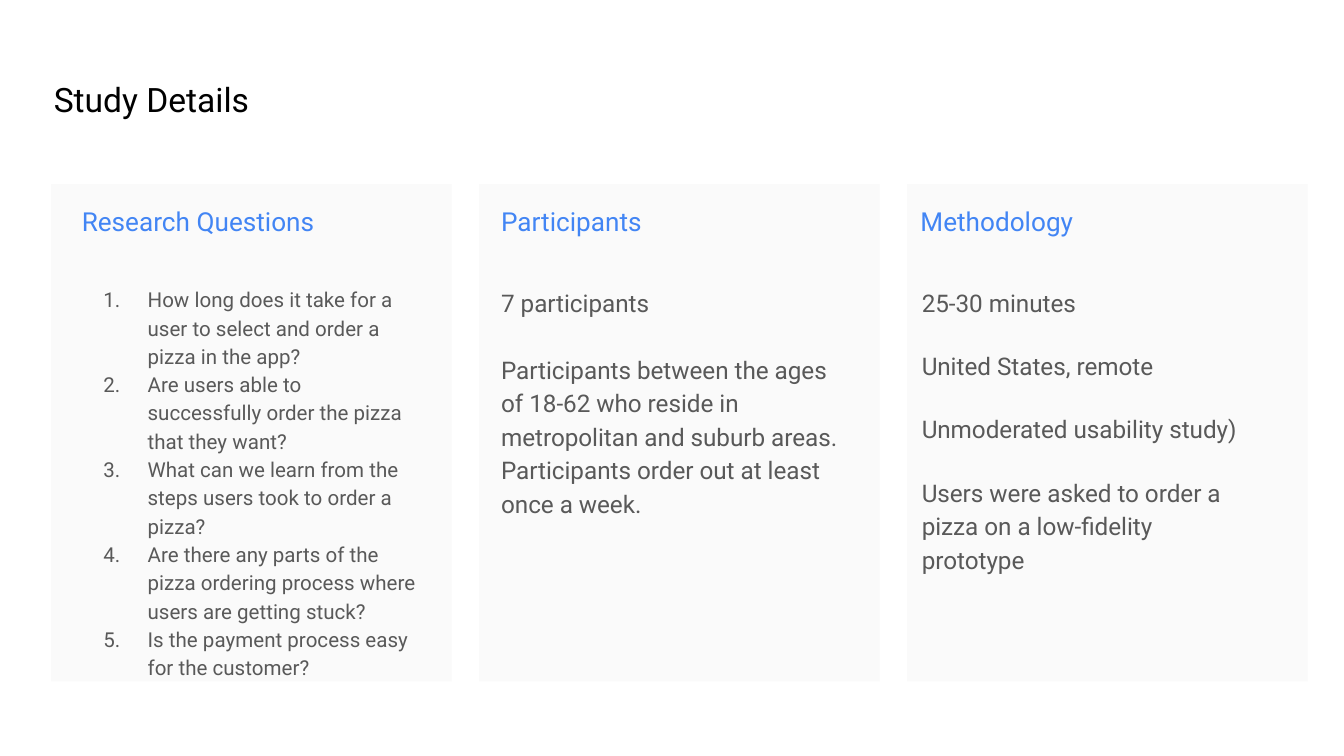
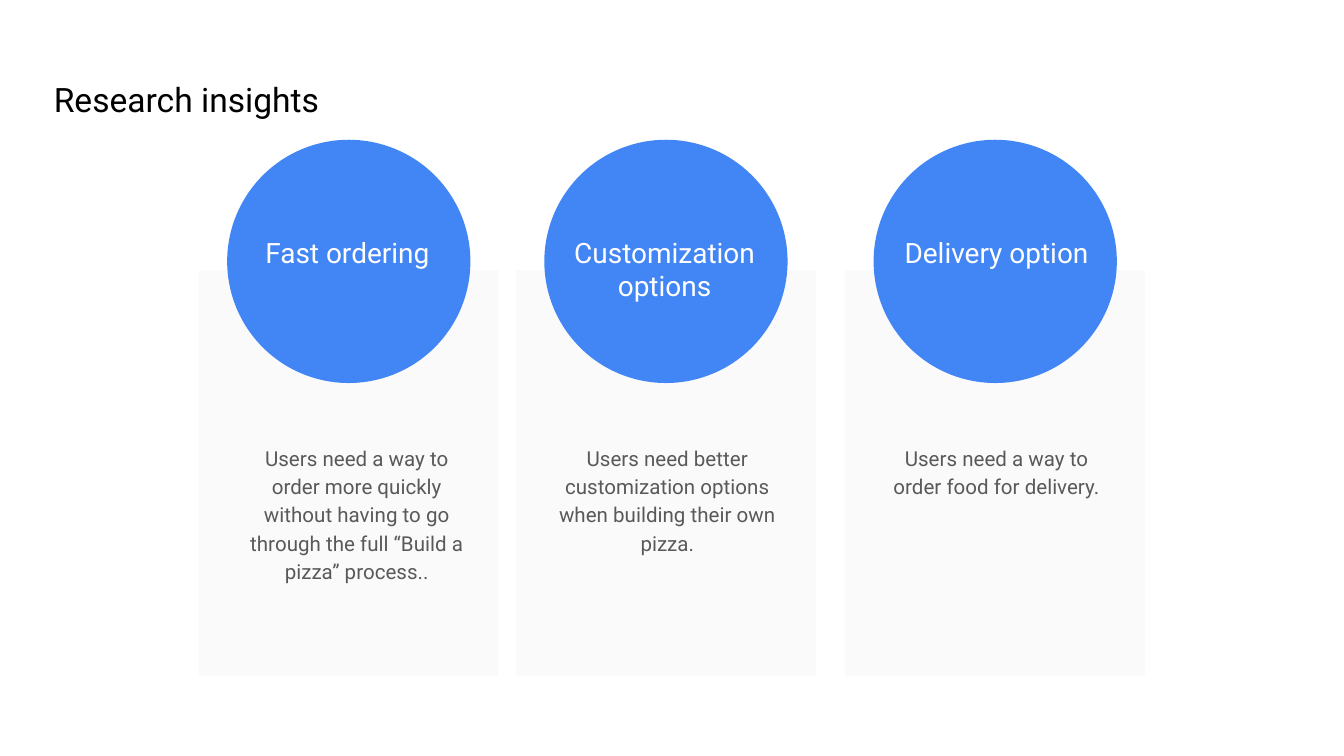
from lxml import etree
from pptx import Presentation
from pptx.dml.color import RGBColor
from pptx.enum.shapes import MSO_SHAPE
from pptx.enum.text import MSO_ANCHOR, MSO_AUTO_SIZE, PP_ALIGN
from pptx.oxml.ns import qn
from pptx.util import Inches, Pt

RECT, OVAL = MSO_SHAPE.RECTANGLE, MSO_SHAPE.OVAL
LEFT, CENTER = PP_ALIGN.LEFT, PP_ALIGN.CENTER
TOP, NO_FIT = MSO_ANCHOR.TOP, MSO_AUTO_SIZE.NONE

BLACK = RGBColor(0x00, 0x00, 0x00)
WHITE = RGBColor(0xFF, 0xFF, 0xFF)
GRAY = RGBColor(0x59, 0x59, 0x59)
PALE = RGBColor(0xFA, 0xFA, 0xFA)
BLUE = RGBColor(0x42, 0x85, 0xF4)

FONT = "Roboto"
INSET = 0.1
LOOSE = 1.15  # line spacing of titles and body text

# Study details: cards, headings and bodies each sit on an even grid
CARD_LEFT, CARD_PITCH = 0.38, (6.75 - 0.38) / 2
HEAD_LEFT, HEAD_PITCH = 0.51, 3.12
BODY_LEFT, BODY_PITCH = 0.5, 3.13

STUDY = [
    ("Research Questions", [
        "How long does it take for a user to select and order a pizza in the app?",
        "Are users able to successfully order the pizza that they want?",
        "What can we learn from the steps users took to order a pizza?",
        "Are there any parts of the pizza ordering process where users are getting stuck?",
        "Is the payment process easy for the customer?",
    ], dict(size=11, numbered=True)),
    ("Participants", [
        "7 participants",
        "Participants between the ages of 18-62 who reside in metropolitan and suburb areas. "
        "Participants order out at least once a week.",
    ], dict(size=13, gap=18)),
    ("Methodology", [
        "25-30 minutes",
        "United States, remote",
        "Unmoderated usability study)",
        "Users were asked to order a pizza on a low-fidelity prototype",
    ], dict(size=13, gap=16)),
]

# Card left, label and body offsets within the card, label, body
INSIGHTS = [
    (1.48, 0.13, 0.2, "Fast ordering",
     "Users need a way to order more quickly without having to go through the full "
     "“Build a pizza” process.."),
    (3.84, 0.13, 0.15, "Customization options",
     "Users need better customization options when building their own pizza."),
    (6.29, 0.15, 0.15, "Delivery option",
     "Users need a way to order food for delivery."),
]


def number(p, color):
    """Turn a paragraph into an item of a numbered list with a hanging indent."""
    pPr = p._p.get_or_add_pPr()
    pPr.set("marL", str(Inches(0.5)))
    pPr.set("indent", str(Inches(-0.33)))
    clr = etree.SubElement(pPr, qn("a:buClr"))
    etree.SubElement(clr, qn("a:srgbClr"), val=str(color))
    etree.SubElement(pPr, qn("a:buAutoNum"), type="arabicPeriod")


def write(tf, paragraphs, size=11, color=GRAY, align=LEFT, spacing=LOOSE,
          gap=0, numbered=False, top=INSET):
    """Fill a text frame; gap is the space between paragraphs in points."""
    tf.word_wrap = True
    tf.auto_size = NO_FIT
    tf.vertical_anchor = TOP
    tf.margin_left = tf.margin_right = tf.margin_bottom = Inches(INSET)
    tf.margin_top = Inches(top)
    for i, text in enumerate(paragraphs):
        p = tf.add_paragraph() if i else tf.paragraphs[0]
        p.alignment = align
        p.line_spacing = spacing
        p.space_before = Pt(gap if i else 0)
        if numbered:
            number(p, color)
        r = p.add_run()
        r.text = text
        r.font.name = FONT
        r.font.size = Pt(size)
        r.font.color.rgb = color


def add_text(s, box, *paragraphs, **fmt):
    tb = s.shapes.add_textbox(*map(Inches, box))
    write(tb.text_frame, paragraphs, **fmt)


def add_block(s, kind, box, color):
    sp = s.shapes.add_shape(kind, *map(Inches, box))
    sp.shadow.inherit = False
    sp.fill.solid()
    sp.fill.fore_color.rgb = color
    sp.line.fill.background()


def add_slide(prs, title, width, height):
    s = prs.slides.add_slide(prs.slide_layouts[5])
    sp = s.shapes.title
    sp.left, sp.top, sp.width, sp.height = map(Inches, (0.3, 0.44, width, height))
    write(sp.text_frame, [title], size=18, color=BLACK)
    return s


def study_column(s, card, head_left, body_left, heading, paragraphs, fmt):
    top, text_w = card[1], 2.71
    add_block(s, RECT, card, PALE)
    add_text(s, (head_left, top + 0.06, text_w, 0.31), heading,
             size=14, color=BLUE, spacing=1.0)
    height = 2.85 if fmt.get("numbered") else 2.42
    add_text(s, (body_left, top + 0.64, text_w, height), *paragraphs, **fmt)


def insight_card(s, card, label_dx, body_dx, label, body):
    left, top, width, _ = card
    disc, text_w = 1.81, 1.95
    add_block(s, RECT, card, PALE)
    add_block(s, OVAL, (left + (width - disc) / 2, top - 0.97, disc, disc), BLUE)
    add_text(s, (left + label_dx, top - 0.36, text_w, 0.59), label,
             size=15, color=WHITE, align=CENTER, spacing=1.0)
    add_text(s, (left + body_dx, top + 0.77, text_w, 1.47), body,
             align=CENTER, top=0.51)


def study_slide(prs):
    s = add_slide(prs, "Study Details", 6.04, 0.72)
    for i, column in enumerate(STUDY):
        card = (CARD_LEFT + i * CARD_PITCH, 1.37, 2.98, 3.7)
        study_column(s, card, HEAD_LEFT + i * HEAD_PITCH,
                     BODY_LEFT + i * BODY_PITCH, *column)


def insights_slide(prs):
    s = add_slide(prs, "Research insights", 5.04, 0.53)
    for left, *content in INSIGHTS:
        insight_card(s, (left, 2.01, 2.23, 3.02), *content)


def main():
    prs = Presentation()
    prs.slide_width = Inches(10)
    prs.slide_height = prs.slide_width * 9 // 16
    study_slide(prs)
    insights_slide(prs)
    prs.save("out.pptx")


if __name__ == "__main__":
    main()
